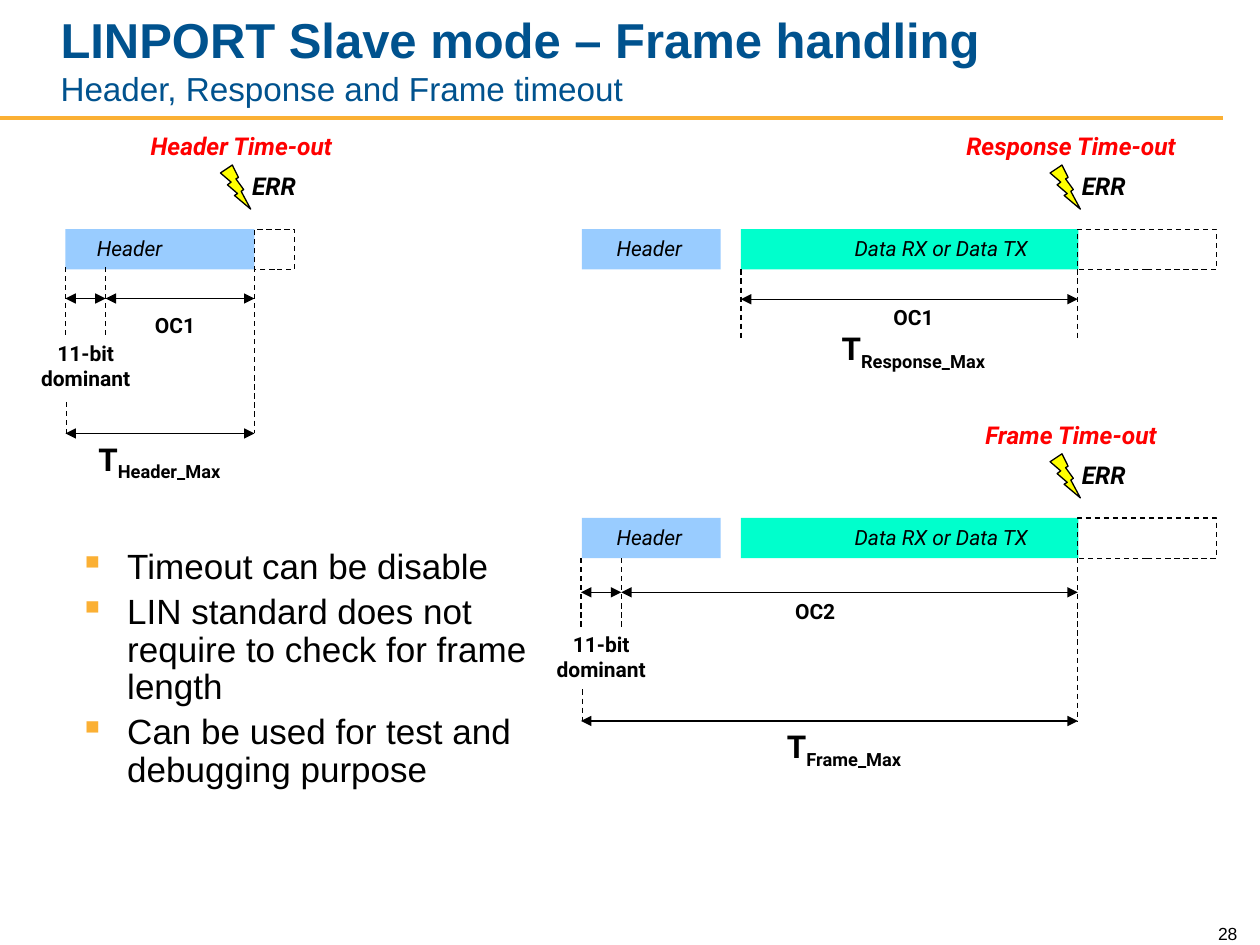
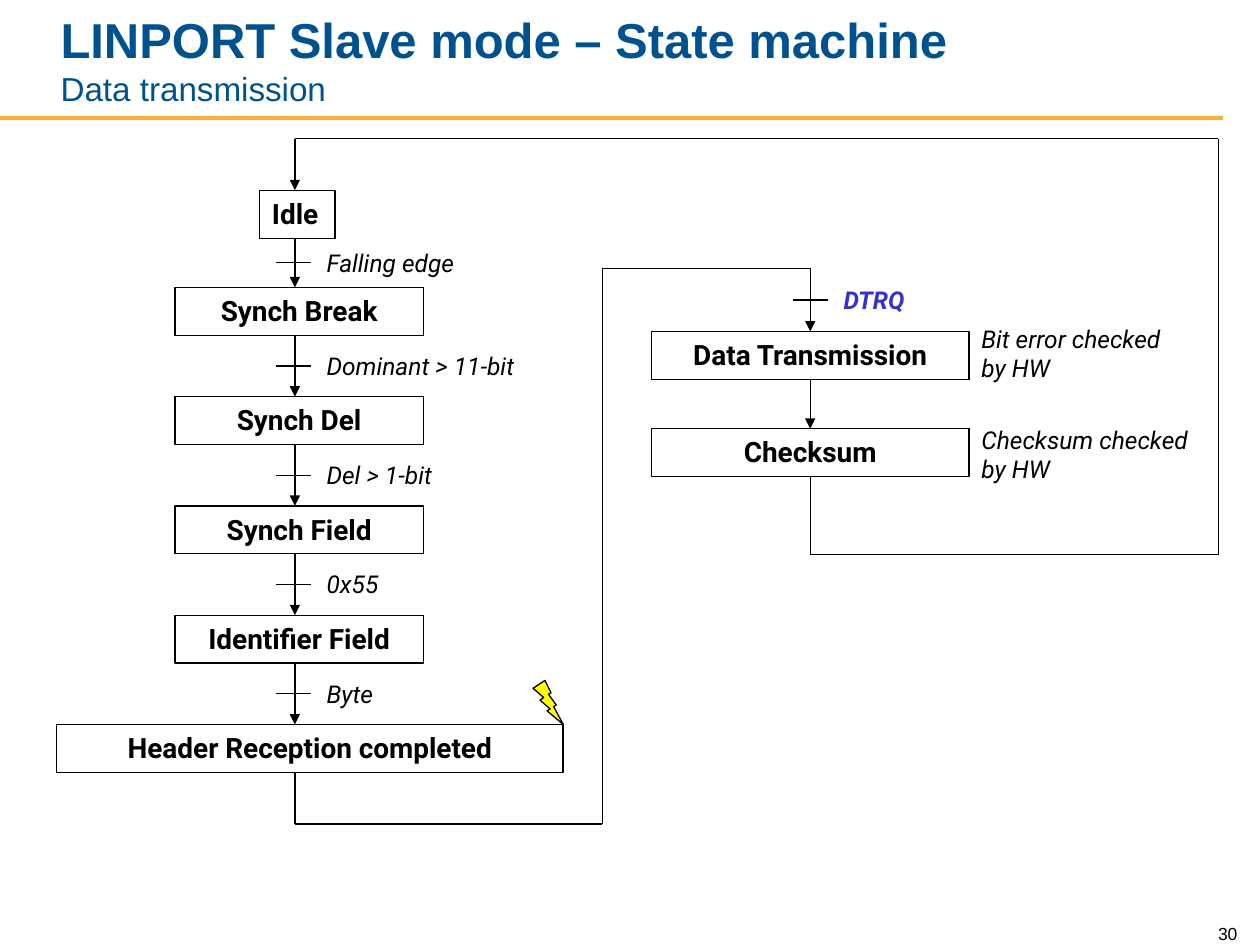
from itertools import pairwise

from lxml.etree import SubElement
from pptx import Presentation
from pptx.dml.color import RGBColor
from pptx.enum.dml import MSO_LINE
from pptx.enum.shapes import MSO_CONNECTOR as Link, MSO_SHAPE as Kind
from pptx.enum.text import MSO_ANCHOR as Anchor, MSO_AUTO_SIZE as Fit, PP_ALIGN as Align
from pptx.oxml.ns import qn
from pptx.util import Pt

BLUE, GOLD, BLACK, RED = "00528E", "FBB034", "000000", "FF0000"
SKY, MINT, YELLOW, VIOLET = "99CCFF", "00FFCC", "FFFF00", "3333CC"

HEAD = {"name": "Arial", "size": Pt(28), "bold": True, "color": BLUE}
SUB = HEAD | {"size": Pt(19), "bold": False}
BODY = {"name": "Arial", "size": Pt(20), "color": BLACK}
PAGE = BODY | {"size": Pt(10)}
BASE = {"name": "Roboto", "size": Pt(12), "color": BLACK}
SLANT = BASE | {"italic": True}
BOLD = BASE | {"bold": True}
STATE = BOLD | {"size": Pt(16)}
EVENT = SLANT | {"size": Pt(14)}
ALERT = EVENT | {"bold": True}
TIME = BOLD | {"size": Pt(18)}

BAR = 23    # height of a frame bar
CELL = 27.4    # height of a state box


def rgb(code):
    return RGBColor.from_string(code)


def style(font, fmt):
    for key, value in fmt.items():
        if key == "color":
            font.color.rgb = rgb(value)
        else:
            setattr(font, key, value)


def write(para, text, fmt):
    run = para.add_run()
    run.text = text
    style(run.font, fmt)
    return run


def fill_text(frame, lines, fmt, align, anchor=Anchor.TOP):
    frame.word_wrap = True
    frame.vertical_anchor = anchor
    for i, line in enumerate(lines):
        para = frame.add_paragraph() if i else frame.paragraphs[0]
        para.alignment = align
        write(para, line, fmt)


def label(slide, box, text, fmt, align=Align.CENTER, anchor=Anchor.TOP):
    frame = slide.shapes.add_textbox(*map(Pt, box)).text_frame
    fill_text(frame, text.split("\n"), fmt, align, anchor)
    return frame


def pen(line, color=BLACK, width=0.75, dash=False):
    line.color.rgb = rgb(color)
    line.width = Pt(width)
    if dash:
        line.dash_style = MSO_LINE.DASH


def shape(slide, box, fill=None, edge=True, dash=False, kind=Kind.RECTANGLE):
    item = slide.shapes.add_shape(kind, *map(Pt, box))
    item.shadow.inherit = False
    if fill:
        item.fill.solid()
        item.fill.fore_color.rgb = rgb(fill)
    else:
        item.fill.background()
    if edge:
        pen(item.line, dash=dash)
    else:
        item.line.fill.background()
    return item


def wire(slide, start, end, ends=(), **look):
    """Straight line; ends lists the arrowheads, "head" and/or "tail"."""
    item = slide.shapes.add_connector(Link.STRAIGHT, *map(Pt, (*start, *end)))
    pen(item.line, **look)
    props = item._element.spPr
    for name in ends:
        SubElement(props.find(qn("a:ln")), qn(f"a:{name}End"), type="triangle")
    SubElement(props, qn("a:effectLst"))


def post(slide, x, top, low):
    wire(slide, (x, top), (x, low), dash=True)


def gauge(slide, left, right, y):
    wire(slide, (left, y), (right, y), ("head", "tail"))


def route(slide, *points, arrow=True):
    legs = list(pairwise(points))
    for i, leg in enumerate(legs, 1):
        wire(slide, *leg, ("tail",) if arrow and i == len(legs) else ())


def bolt(slide, x, y):
    shape(slide, (x, y, 17.3, 25.2), YELLOW, kind=Kind.LIGHTNING_BOLT)


def new_slide(deck, title, sub, page):
    slide = deck.slides.add_slide(deck.slide_layouts[5])
    wire(slide, (0, 67.7), (699, 67.7), color=GOLD, width=2.25)
    head = slide.shapes.title
    head.left, head.top, head.width, head.height = map(Pt, (27.4, 13, 587.5, 52.6))
    frame = head.text_frame
    frame.auto_size = Fit.NONE
    fill_text(frame, [title], HEAD, Align.LEFT, Anchor.BOTTOM)
    para = frame.paragraphs[0]
    para.add_line_break()
    write(para, sub, SUB)
    label(slide, (678.2, 521.3, 36, 21.6), page, PAGE, Align.RIGHT, Anchor.BOTTOM)
    return slide


def bullets(slide, box, lines):
    frame = label(slide, box, "\n".join(lines), BODY, Align.LEFT)
    for para in frame.paragraphs:
        para.line_spacing = 0.9
        para.space_before = Pt(4)
        props = para._p.get_or_add_pPr()
        props.set("marL", str(Pt(27.4)))
        props.set("indent", str(-Pt(27.4)))
        color = SubElement(props, qn("a:buClr"))
        SubElement(color, qn("a:srgbClr"), val=GOLD)
        SubElement(props, qn("a:buChar"), char="▪")


def alarm(slide, x, y, text):
    """Time-out title over a bolt, above the bar whose top is y."""
    label(slide, (x - 60, y - 59.8, 144, 23.8), text, ALERT | {"color": RED})
    bolt(slide, x, y - 36.7)
    label(slide, (x + 8.6, y - 36.7, 44, 23.8), "ERR", ALERT)


def limit(slide, mid, y, name):
    frame = label(slide, (mid - 93.6, y, 187.2, 28.8), "T", TIME)
    low = write(frame.paragraphs[0], name, TIME)
    low.font._element.set("baseline", "-25000")


def count(slide, mid, y, name):
    label(slide, (mid - 60, y, 120, 21.6), name, BOLD)


def frame_bars(slide, x, y, text):
    """Header, data and overrun bars; gives the left and right of the data."""
    left = x + 90.8
    right = left + 192.5
    shape(slide, (x, y, 79.2, BAR), SKY, edge=False)
    shape(slide, (left, y, 192.8, BAR), MINT, edge=False)
    shape(slide, (right, y, 79.2, BAR), dash=True)
    label(slide, (x + 5, y, 67, 21.6), "Header", SLANT)
    label(slide, (left, y, 229, 21.6), "Data RX or Data TX", SLANT)
    alarm(slide, right - 15.8, y, text)
    return left, right


def spans(slide, left, right, top, mid, low):
    """Break, counter and total spans below a bar."""
    split = left + 23
    for x in (left, split):
        post(slide, x, top, top + 40.6)
    post(slide, right, top, low)
    post(slide, left + 0.8, low - 18, low)
    gauge(slide, left, split, mid)
    gauge(slide, split, right, mid)
    gauge(slide, left, right, low)
    label(slide, (left - 28, top + 38.2, 79.2, 36), "11-bit\ndominant", BOLD)


def header_part(slide, x, y):
    end = x + 108
    shape(slide, (x, y, 108, BAR), SKY, edge=False)
    shape(slide, (end, y, BAR, BAR), dash=True)
    label(slide, (x, y, 73.4, 21.6), "Header", SLANT)
    alarm(slide, end - 19.4, y, "Header Time-out")
    spans(slide, x, end, y + 21.6, y + 39.6, y + 116.7)
    count(slide, x + 62.6, y + 44, "OC1")
    limit(slide, x + 53.7, y + 116.7, "Header_Max")


def response_part(slide, x, y):
    left, right = frame_bars(slide, x, y, "Response Time-out")
    for side in (left, right):
        post(slide, side, y + BAR, y + 63.4)
    gauge(slide, left, right, y + 40)
    mid = left + 98.6
    count(slide, mid, y + 39.6, "OC1")
    limit(slide, mid, y + 53.3, "Response_Max")


def frame_part(slide, x, y):
    right = frame_bars(slide, x, y, "Frame Time-out")[1]
    spans(slide, x - 0.6, right, y + BAR, y + 42.5, y + 116)
    count(slide, x + 133.2, y + 42.5, "OC2")
    limit(slide, x + 149.8, y + 116, "Frame_Max")


def state(slide, x, y, width, text, align=Align.CENTER):
    item = shape(slide, (x, y, width, CELL))
    fill_text(item.text_frame, [text], STATE, align)


def event(slide, x, y, text, fmt=EVENT):
    """Tick across the line at x with its condition beside it."""
    wire(slide, (x - 11, y), (x + 9, y))
    label(slide, (x + 11, y - 12.2, 142, 23.8), text, fmt, Align.LEFT)


def header_chain(slide, axis, top):
    """States down to the header; gives the bottom of the last one."""
    first, step = top + 55.5, 62.45
    state(slide, axis - 20.2, top, 43.2, "Idle", Align.LEFT)
    names = "Synch Break", "Synch Del", "Synch Field", "Identifier Field"
    tests = "Falling edge", "Dominant > 11-bit", "Del > 1-bit", "0x55", "Byte"
    tops = [top] + [first + i * step for i in range(5)]
    for name, y in zip(names, tops[1:]):
        state(slide, axis - 68.4, y, 141.8, name)
    last = tops[-1]
    state(slide, axis - 136.1, last, 289.4, "Header Reception completed")
    bolt(slide, axis + 136.1, last - 25.2)
    for test, (y, below) in zip(tests, pairwise(tops)):
        route(slide, (axis, y + CELL), (axis, below))
        event(slide, axis, (y + CELL + below) / 2, test)
    return last + CELL


def data_chain(slide, axis, top):
    """Data states with their checks; gives the bottom of the last one."""
    rows = (("Data Transmission", "Bit error checked\nby HW", -8),
            ("Checksum", "Checksum checked\nby HW", -5.8))
    for i, (name, check, lift) in enumerate(rows):
        y = top + i * 55.6
        state(slide, axis - 90.7, y, 181.4, name)
        label(slide, (axis + 90.7, y + lift, 141.8, 41), check, EVENT, Align.LEFT)
    route(slide, (axis, top + CELL), (axis, y))
    event(slide, axis + 1, top - 18, "DTRQ", ALERT | {"color": VIOLET})
    return y + CELL


def timeouts(deck):
    slide = new_slide(deck, "LINPORT Slave mode – Frame handling",
                      "Header, Response and Frame timeout", "28")
    bullets(slide, (38.2, 310.3, 275, 159.8),
            ("Timeout can be disable",
             "LIN standard does not require to check for frame length",
             "Can be used for test and debugging purpose"))
    header_part(slide, 37.4, 131)
    response_part(slide, 332.6, 131)
    frame_part(slide, 332.6, 296)


def machine(deck):
    slide = new_slide(deck, "LINPORT Slave mode – State machine",
                      "Data transmission", "30")
    axis, idle = 168.5, 108.7
    side, data = 463, 189.4
    low = header_chain(slide, axis, idle)
    end = data_chain(slide, side, data)
    turn, entry = low + 29.5, data - 36
    route(slide, (axis, low), (axis, turn), (344.2, turn),
          (344.2, entry), (side, entry), (side, data))
    back, roof, right = end + 44.6, 79.2, 696.2
    route(slide, (side, end), (side, back), (right, back),
          (right, roof), (axis, roof), (axis, idle))


def main():
    deck = Presentation()
    deck.slide_width, deck.slide_height = Pt(720), Pt(540)
    timeouts(deck)
    machine(deck)
    deck.save("out.pptx")


if __name__ == "__main__":
    main()
